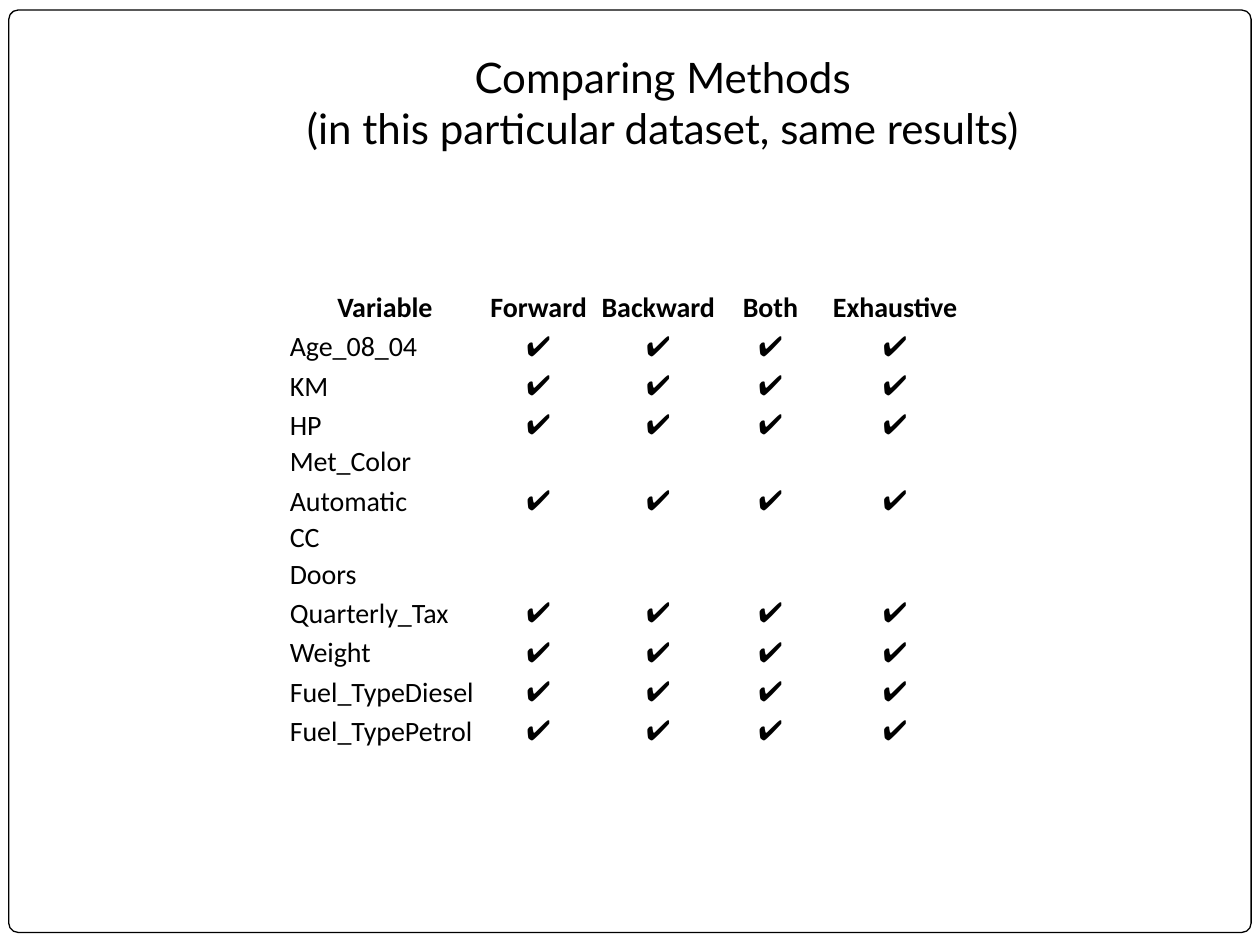
from pptx import Presentation
from pptx.dml.color import RGBColor
from pptx.enum.shapes import MSO_SHAPE
from pptx.enum.text import MSO_ANCHOR, PP_ALIGN
from pptx.util import Inches, Pt

LEFT, CENTER = PP_ALIGN.LEFT, PP_ALIGN.CENTER
MIDDLE, BOTTOM = MSO_ANCHOR.MIDDLE, MSO_ANCHOR.BOTTOM

# Content
TITLE = ["Comparing Methods", "(in this particular dataset, same results)"]
HEADERS = ["Variable", "Forward", "Backward", "Both", "Exhaustive"]
VARIABLES = [  # name, kept by every method
    ("Age_08_04", True),
    ("KM", True),
    ("HP", True),
    ("Met_Color", False),
    ("Automatic", True),
    ("CC", False),
    ("Doors", False),
    ("Quarterly_Tax", True),
    ("Weight", True),
    ("Fuel_TypeDiesel", True),
    ("Fuel_TypePetrol", True),
]
CHECK = "✔"
SPARE_ROWS = 2

# Theme and layout
THEME = {
    "ink": RGBColor(0, 0, 0),
    "paper": RGBColor(255, 255, 255),
    "title_font": "Lato",
    "table_font": "Calibri",
    "check_font": "Noto Sans",
    "title_size": 24,
    "table_size": 16,
}
COLUMN_WIDTHS = [1.53, 0.91, 0.99, 0.79, 1.19]
ROW_HEIGHT, AUTOMATIC_HEIGHT = 0.29, 0.22


def write_text(frame, lines, *, font, size, bold=False, align=LEFT):
    for index, line in enumerate(lines):
        paragraph = frame.add_paragraph() if index else frame.paragraphs[0]
        paragraph.alignment = align
        if not line:  # keeps an empty cell as low as a filled one
            paragraph._p.get_or_add_endParaRPr().set("sz", str(size * 100))
            continue
        run = paragraph.add_run()
        run.text = line
        run.font.name = font
        run.font.size = Pt(size)
        run.font.bold = bold
        run.font.color.rgb = THEME["ink"]


def set_margins(target, left, top, right, bottom):
    target.margin_left, target.margin_top = Inches(left), Inches(top)
    target.margin_right, target.margin_bottom = Inches(right), Inches(bottom)


def add_border(slide):
    border = slide.shapes.add_shape(
        MSO_SHAPE.ROUNDED_RECTANGLE,
        Inches(0.07), Inches(0.08), Inches(9.86), Inches(7.32))
    border.adjustments[0] = 0.01
    border.shadow.inherit = False
    border.fill.solid()
    border.fill.fore_color.rgb = THEME["paper"]
    border.line.color.rgb = THEME["ink"]
    border.line.width = Pt(0.75)


def add_methods_table(slide):
    rows = [HEADERS]
    for name, kept in VARIABLES:
        rows.append([name] + [CHECK if kept else ""] * (len(HEADERS) - 1))
    rows += [[""] * len(HEADERS)] * SPARE_ROWS

    methods = slide.shapes.add_table(
        len(rows), len(HEADERS), Inches(2.29), Inches(2.29),
        Inches(sum(COLUMN_WIDTHS)), Inches(ROW_HEIGHT * len(rows))).table
    methods.first_row = methods.horz_banding = False
    for column, width in zip(methods.columns, COLUMN_WIDTHS):
        column.width = Inches(width)

    for r, values in enumerate(rows):
        automatic = values[0] == "Automatic"
        methods.rows[r].height = Inches(AUTOMATIC_HEIGHT if automatic else ROW_HEIGHT)
        for c, value in enumerate(values):
            header = r == 0
            cell = methods.cell(r, c)
            cell.fill.background()
            cell.vertical_anchor = MIDDLE if header else BOTTOM
            set_margins(cell, 0.01, 0.01, 0.01, 0)
            write_text(cell.text_frame, [value],
                       font=THEME["check_font" if value == CHECK else "table_font"],
                       size=THEME["table_size"], bold=header,
                       align=CENTER if header or c else LEFT)

    last = len(rows) - 1
    methods.cell(last, 0).merge(methods.cell(last, 1))


def add_title(slide):
    frame = slide.shapes.add_textbox(
        Inches(0.76), Inches(0.23), Inches(9), Inches(1.08)).text_frame
    frame.word_wrap = True
    frame.vertical_anchor = BOTTOM
    set_margins(frame, 0.1, 0.05, 0.1, 0.1)
    write_text(frame, TITLE, font=THEME["title_font"],
               size=THEME["title_size"], align=CENTER)


def main():
    deck = Presentation()
    deck.slide_width, deck.slide_height = Inches(10), Inches(7.5)
    slide = deck.slides.add_slide(deck.slide_layouts[6])
    add_border(slide)
    add_methods_table(slide)
    add_title(slide)
    deck.save("out.pptx")


if __name__ == "__main__":
    main()
